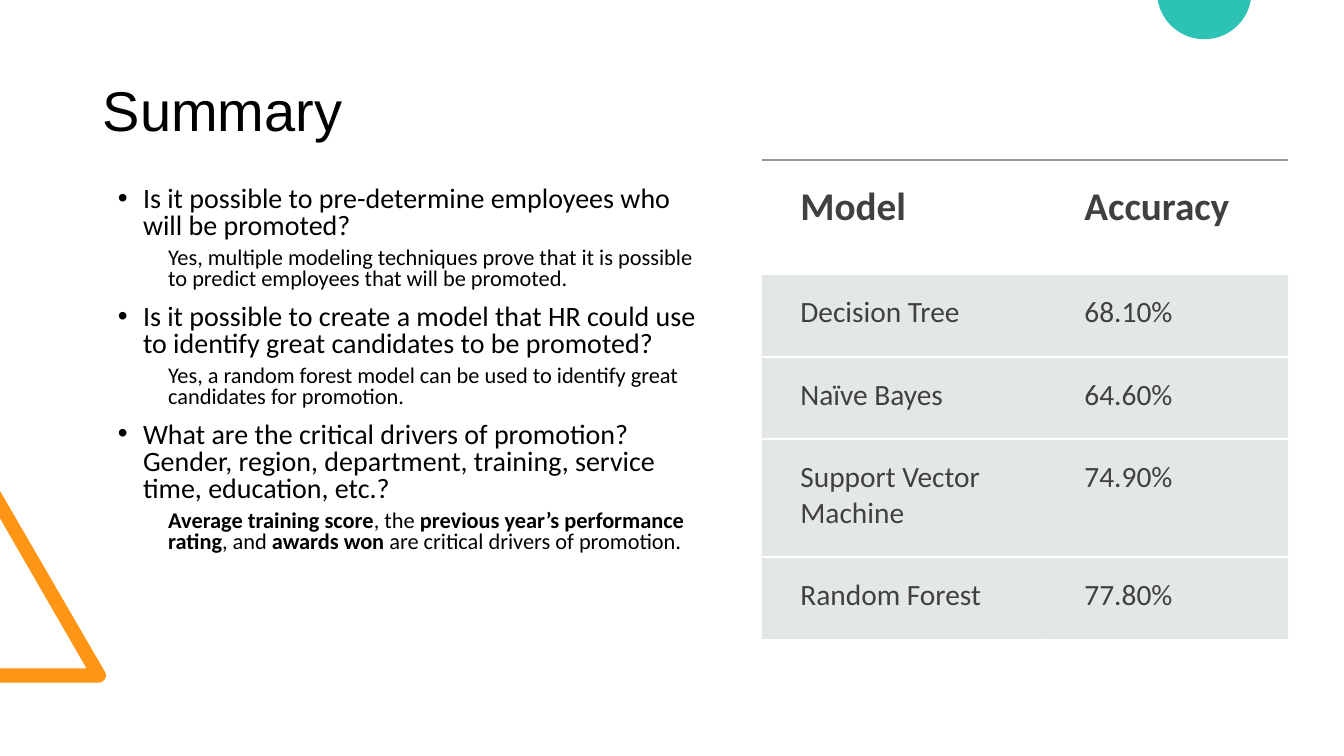
from math import asin, cos, degrees, pi, radians, sin

from lxml.etree import SubElement
from pptx import Presentation
from pptx.dml.color import RGBColor
from pptx.enum.text import MSO_ANCHOR, MSO_AUTO_SIZE, PP_ALIGN
from pptx.oxml import parse_xml
from pptx.oxml.ns import nsdecls, qn
from pptx.util import Cm, Pt

COLORS = {
    "text": "000000",
    "table_text": "404040",
    "row": "B4BCBE",
    "rule": "8F9A9D",
    "gap": "FFFFFF",
    "triangle": "FF9514",
    "circle": "2CC3B4",
}
NO_TABLE_STYLE = "{2D5ABB26-0587-4C30-8999-92F81FD0307C}"

# Each question is followed by its answer as (text, bold) runs
QUESTIONS = [
    ("Is it possible to pre-determine employees who will be promoted?",
     [("Yes, multiple modeling techniques prove that it is possible to predict "
       "employees that will be promoted.", False)]),
    ("Is it possible to create a model that HR could use to identify great "
     "candidates to be promoted?",
     [("Yes, a random forest model can be used to identify great candidates "
       "for promotion.", False)]),
    ("What are the critical drivers of promotion? Gender, region, department, "
     "training, service time, education, etc.?",
     [("Average training score", True), (", the ", False),
      ("previous year’s performance rating", True), (", and ", False),
      ("awards won", True), (" are critical drivers of promotion.", False)]),
]
ACCURACY = [
    ("Model", "Accuracy"),
    ("Decision Tree", "68.10%"),
    ("Naïve Bayes", "64.60%"),
    ("Support Vector Machine", "74.90%"),
    ("Random Forest", "77.80%"),
]
COLUMN_SHARES = (0.54, 0.46)
HEADER_HEIGHT, ROW_HEIGHT, TALL_ROW_HEIGHT = 2.87, 2.08, 2.97


def style_font(font, name, size, color, bold=False):
    font.name, font.size, font.bold = name, Pt(size), bold
    font.color.rgb = RGBColor.from_string(COLORS[color])


def arc(center_x, center_y, radius, start, end, steps=48):
    """Points in cm along an arc, with angles in degrees clockwise from the right."""
    angles = [radians(start + (end - start) * i / steps) for i in range(steps + 1)]
    return [(center_x + radius * cos(a), center_y + radius * sin(a)) for a in angles]


def add_outline(slide, points, color):
    points = [(Cm(x), Cm(y)) for x, y in points]
    builder = slide.shapes.build_freeform(*points[0])
    builder.add_line_segments(points[1:], close=True)
    shape = builder.convert_to_shape()
    shape.shadow.inherit = False
    shape.fill.solid()
    shape.fill.fore_color.rgb = RGBColor.from_string(COLORS[color])
    shape.line.fill.background()


def add_corner_triangle(slide, top, width, height):
    """Half of a triangular frame with a rounded corner, cut off by the left edge."""
    radius, bar = 0.18, 0.36
    bottom = top + height
    corner = arc(width - radius, bottom - radius, radius, -30, 90)
    inner = [(0, bottom), (0, bottom - bar), (width - 0.49, bottom - bar),
             (0, top + 0.69)]
    add_outline(slide, [(0, top)] + corner + inner, "triangle")


def add_top_circle(slide, center_x, depth, radius):
    """The part of a circle that reaches below the top edge."""
    center_y = depth - radius
    start = degrees(asin(-center_y / radius))
    add_outline(slide, arc(center_x, center_y, radius, start, degrees(pi) - start),
                "circle")


def add_title(slide, left, top, width, height):
    title = slide.shapes.title
    title.left, title.top, title.width, title.height = map(Cm, (left, top, width, height))
    frame = title.text_frame
    frame.text = "Summary"
    frame.auto_size = MSO_AUTO_SIZE.NONE
    frame.vertical_anchor = MSO_ANCHOR.MIDDLE
    paragraph = frame.paragraphs[0]
    paragraph.alignment = PP_ALIGN.LEFT
    paragraph.line_spacing = 0.9
    style_font(paragraph.runs[0].font, "Arial", 40, "text")


def add_paragraph(frame, runs, size, space_before, margin, bullet=False):
    first = frame.paragraphs[0]
    paragraph = frame.add_paragraph() if first.runs else first
    paragraph.line_spacing = 0.8
    paragraph.space_before = Pt(space_before)
    for text, bold in runs:
        run = paragraph.add_run()
        run.text = text
        style_font(run.font, "Calibri", size, "text", bold)
    properties = paragraph._p.get_or_add_pPr()
    properties.set("marL", str(Cm(margin)))
    if bullet:
        properties.set("indent", str(-Cm(margin)))
        SubElement(properties, qn("a:buFont"), typeface="Arial")
        SubElement(properties, qn("a:buChar"), char="•")


def add_questions(slide, left, top, width, height):
    box = slide.shapes.add_textbox(*map(Cm, (left, top, width, height)))
    frame = box.text_frame
    frame.word_wrap = True
    for question, answer in QUESTIONS:
        add_paragraph(frame, [(question, False)], 20, 10, 0.635, bullet=True)
        add_paragraph(frame, answer, 16, 5, 1.27)


def set_borders(cell, top, top_alpha):
    """Horizontal lines only: a chosen one above, a white one below."""
    borders = [("lnT", top, top_alpha), ("lnB", "gap", 100)]
    for position, (side, color, alpha) in enumerate(borders):
        line = parse_xml(
            f'<a:{side} {nsdecls("a")} w="{Pt(1.5)}"><a:solidFill>'
            f'<a:srgbClr val="{COLORS[color]}"><a:alpha val="{alpha * 1000}"/>'
            f'</a:srgbClr></a:solidFill></a:{side}>')
        cell._tc.get_or_add_tcPr().insert(position, line)


def format_cell(cell, text, is_header):
    cell.text = text
    style_font(cell.text_frame.paragraphs[0].runs[0].font, "Calibri",
               28 if is_header else 21, "table_text", is_header)
    cell.margin_left = Cm(0.97)
    cell.margin_right = cell.margin_top = cell.margin_bottom = Cm(
        0.58 if is_header else 0.51)
    if is_header:
        cell.fill.background()
        set_borders(cell, "rule", 60)
    else:
        cell.fill.solid()
        cell.fill.fore_color.rgb = RGBColor.from_string(COLORS["row"])
        color = cell._tc.tcPr.find(qn("a:solidFill")).find(qn("a:srgbClr"))
        SubElement(color, qn("a:alpha"), val="35000")
        set_borders(cell, "gap", 100)


def add_accuracy_table(slide, left, top, width):
    heights = [HEADER_HEIGHT, ROW_HEIGHT, ROW_HEIGHT, TALL_ROW_HEIGHT, ROW_HEIGHT]
    frame = slide.shapes.add_table(len(ACCURACY), len(COLUMN_SHARES),
                                   *map(Cm, (left, top, width, sum(heights))))
    table = frame.table
    table.first_row = table.horz_banding = False
    table._tbl.tblPr.find(qn("a:tableStyleId")).text = NO_TABLE_STYLE
    for column, share in zip(table.columns, COLUMN_SHARES):
        column.width = Cm(width * share)
    for i, (values, height) in enumerate(zip(ACCURACY, heights)):
        table.rows[i].height = Cm(height)
        for j, value in enumerate(values):
            format_cell(table.cell(i, j), value, i == 0)


def main():
    presentation = Presentation()
    presentation.slide_width, presentation.slide_height = Cm(33.87), Cm(19.05)
    slide = presentation.slides.add_slide(presentation.slide_layouts[5])
    # Decoration
    add_corner_triangle(slide, 12.37, 2.67, 4.83)
    add_top_circle(slide, 30.35, 0.99, 1.19)
    # Content
    add_title(slide, 2.34, 1.02, 29.21, 3.68)
    add_accuracy_table(slide, 19.2, 4.04, 13.26)
    add_questions(slide, 2.72, 4.6, 15.16, 11.63)
    presentation.save("out.pptx")


if __name__ == "__main__":
    main()
